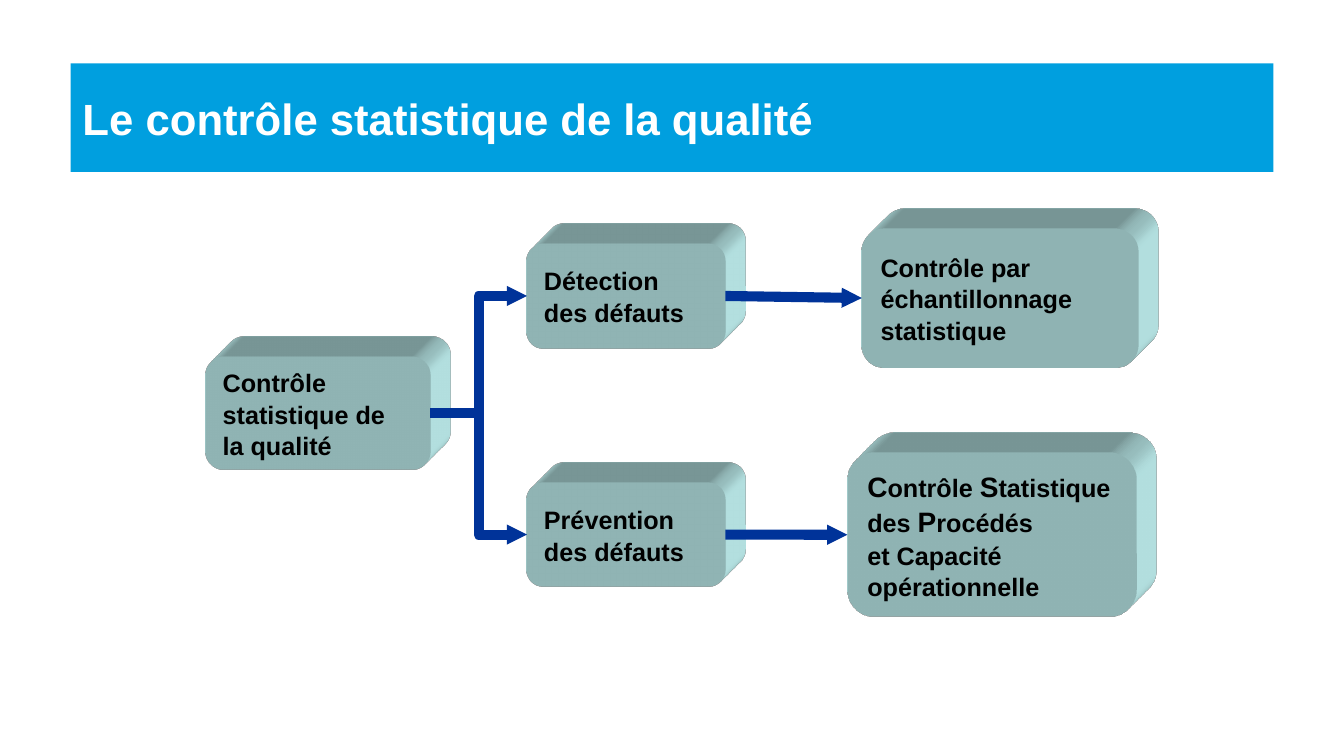
import pptx
import pptx.util
import pptx.dml.color
import pptx.enum.shapes
import pptx.enum.text
import pptx.oxml
import pptx.oxml.ns

Pt = pptx.util.Pt
SHAPE = pptx.enum.shapes.MSO_SHAPE
CONNECTOR = pptx.enum.shapes.MSO_CONNECTOR
BLOCK_COLOR = "CCFFFF"
ARROW_COLOR = "003399"
TEXT_SIZE = 15
INITIAL_SIZE = 16.7
LEFT_SIDE, RIGHT_SIDE = 1, 3


def rgb(color):
    return pptx.dml.color.RGBColor.from_string(color)


def append_xml(parent, tag, content="", attributes=""):
    namespace = pptx.oxml.ns.nsdecls("a")
    parent.append(pptx.oxml.parse_xml(
        f"<a:{tag} {namespace} {attributes}>{content}</a:{tag}>"))


def add_box(slide, preset, bounds, fill, paragraphs, color, spacing):
    box = slide.shapes.add_shape(preset, *map(Pt, bounds))
    box.shadow.inherit = False
    box.fill.solid()
    box.fill.fore_color.rgb = rgb(fill)
    box.line.fill.background()
    frame = box.text_frame
    frame.word_wrap = True
    frame.vertical_anchor = pptx.enum.text.MSO_ANCHOR.MIDDLE
    for index, runs in enumerate(paragraphs):
        paragraph = frame.add_paragraph() if index else frame.paragraphs[0]
        paragraph.alignment = pptx.enum.text.PP_ALIGN.LEFT
        paragraph.line_spacing = spacing
        for text, size in runs:
            run = paragraph.add_run()
            run.text = text
            run.font.name = "Arial"
            run.font.size = Pt(size)
            run.font.bold = True
            run.font.color.rgb = rgb(color)
    return box


def add_block(slide, bounds, *paragraphs):
    block = add_box(slide, SHAPE.ROUNDED_RECTANGLE, bounds, BLOCK_COLOR,
                    paragraphs, "000000", 1.05)
    properties = block.element.spPr
    append_xml(properties, "scene3d",
               '<a:camera prst="legacyObliqueTopRight"/>'
               '<a:lightRig rig="legacyFlat3" dir="b"/>')
    append_xml(properties, "sp3d",
               '<a:bevelT w="13500" h="13500" prst="angle"/>'
               '<a:bevelB w="13500" h="13500" prst="angle"/>'
               f'<a:extrusionClr><a:srgbClr val="{BLOCK_COLOR}"/></a:extrusionClr>',
               'extrusionH="430200" prstMaterial="legacyMatte"')
    return block


def add_arrow(slide, kind, source, target):
    arrow = slide.shapes.add_connector(kind, 0, 0, 0, 0)
    arrow.begin_connect(source, RIGHT_SIDE)
    arrow.end_connect(target, LEFT_SIDE)
    arrow.line.color.rgb = rgb(ARROW_COLOR)
    arrow.line.width = Pt(6)
    append_xml(arrow.line._get_or_add_ln(), "tailEnd",
               attributes='type="triangle" w="sm" len="sm"')
    append_xml(arrow.element.spPr, "effectLst")


def main():
    deck = pptx.Presentation()
    deck.slide_width, deck.slide_height = Pt(800), Pt(450)
    slide = deck.slides.add_slide(deck.slide_layouts[6])

    add_box(slide, SHAPE.RECTANGLE, (42, 37.7, 716, 64.6), "009FDF",
            [[("Le contrôle statistique de la qualité", 26)]], "FFFFFF", 1)

    quality = add_block(slide, (122.2, 212.6, 133.9, 67),
                        [("Contrôle statistique de la qualité", TEXT_SIZE)])
    prevention, detection = [
        add_block(slide, (313.7, top, 118.1, 62), [(text, TEXT_SIZE)])
        for top, text in ((287.2, "Prévention des défauts"),
                          (145.2, "Détection des défauts"))]
    sampling = add_block(
        slide, (513, 136, 164.9, 82.8),
        [("Contrôle par échantillonnage statistique", TEXT_SIZE)])
    process = add_block(
        slide, (504.4, 269.4, 172.1, 97.9),
        [("C", INITIAL_SIZE), ("ontrôle ", TEXT_SIZE),
         ("S", INITIAL_SIZE), ("tatistique des ", TEXT_SIZE),
         ("P", INITIAL_SIZE), ("rocédés", TEXT_SIZE)],
        [("et Capacité opérationnelle", TEXT_SIZE)])

    for approach in (detection, prevention):
        add_arrow(slide, CONNECTOR.ELBOW, quality, approach)
    for approach, method in ((detection, sampling), (prevention, process)):
        add_arrow(slide, CONNECTOR.STRAIGHT, approach, method)

    deck.save("out.pptx")


if __name__ == "__main__":
    main()
